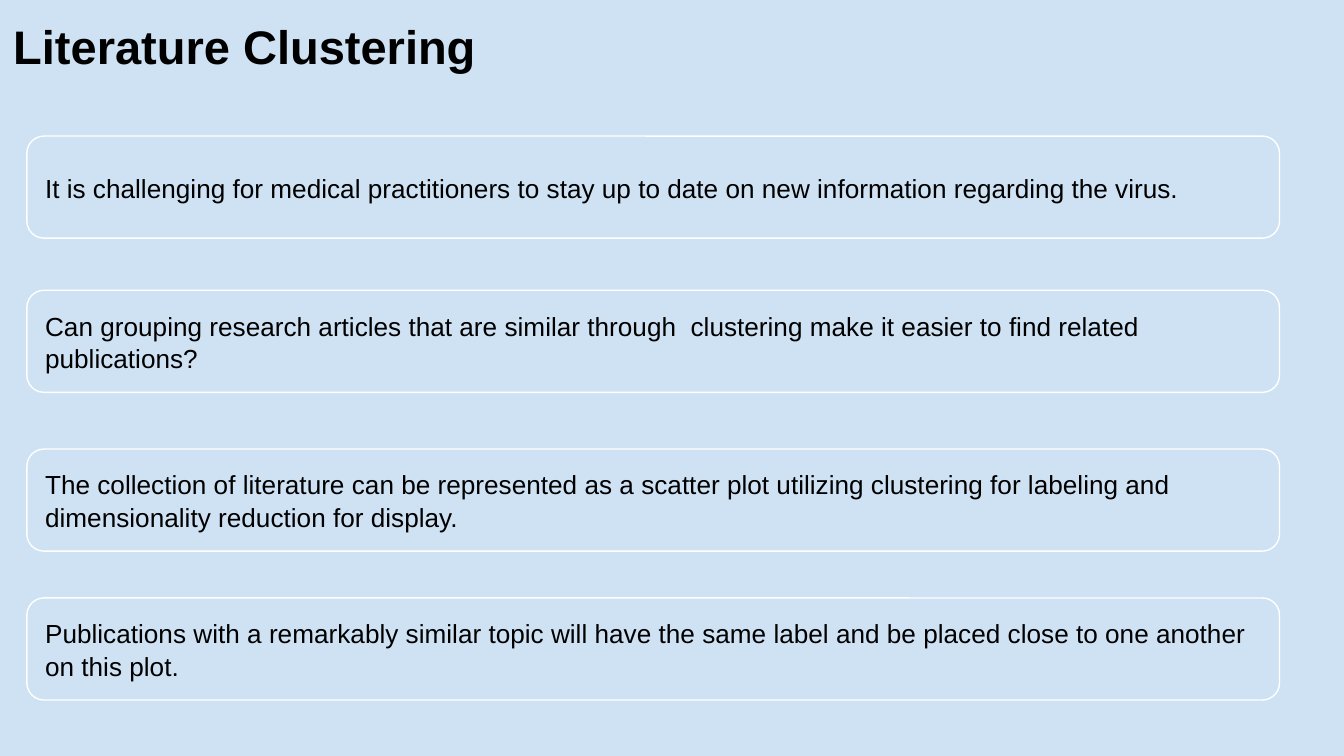
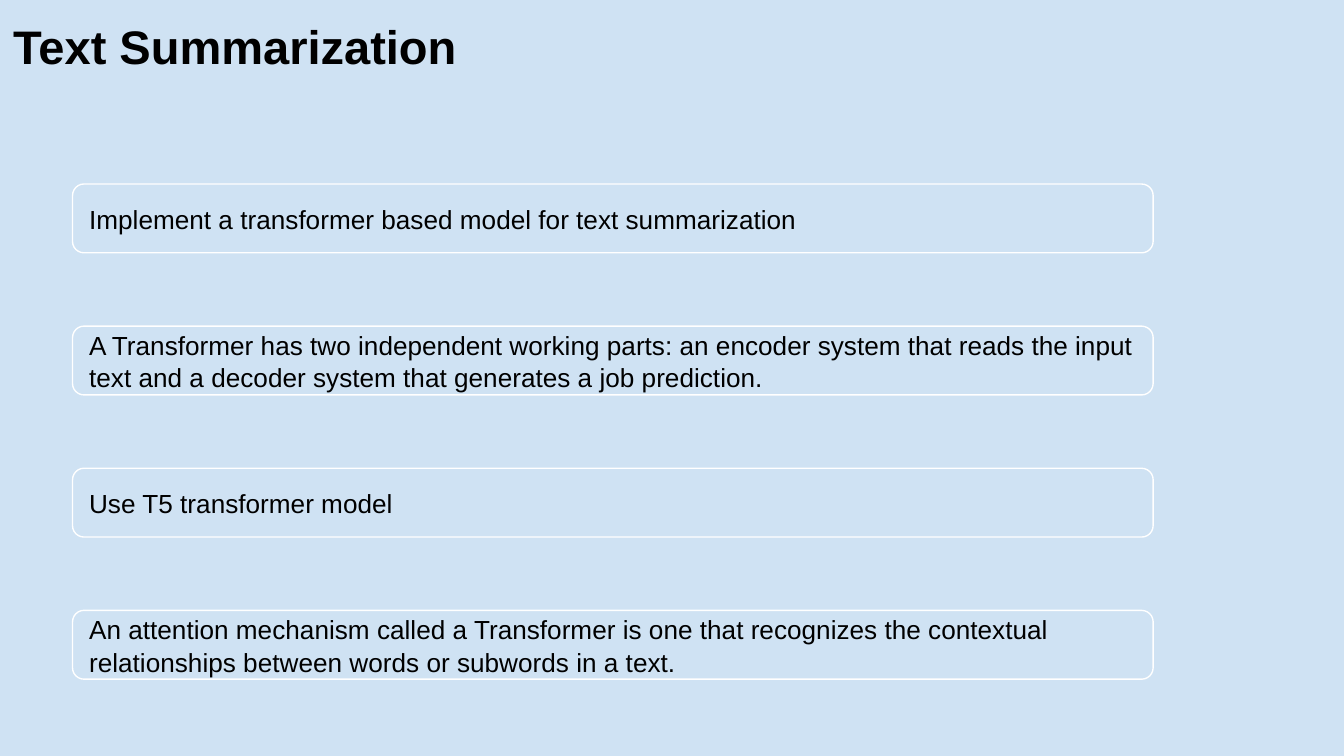
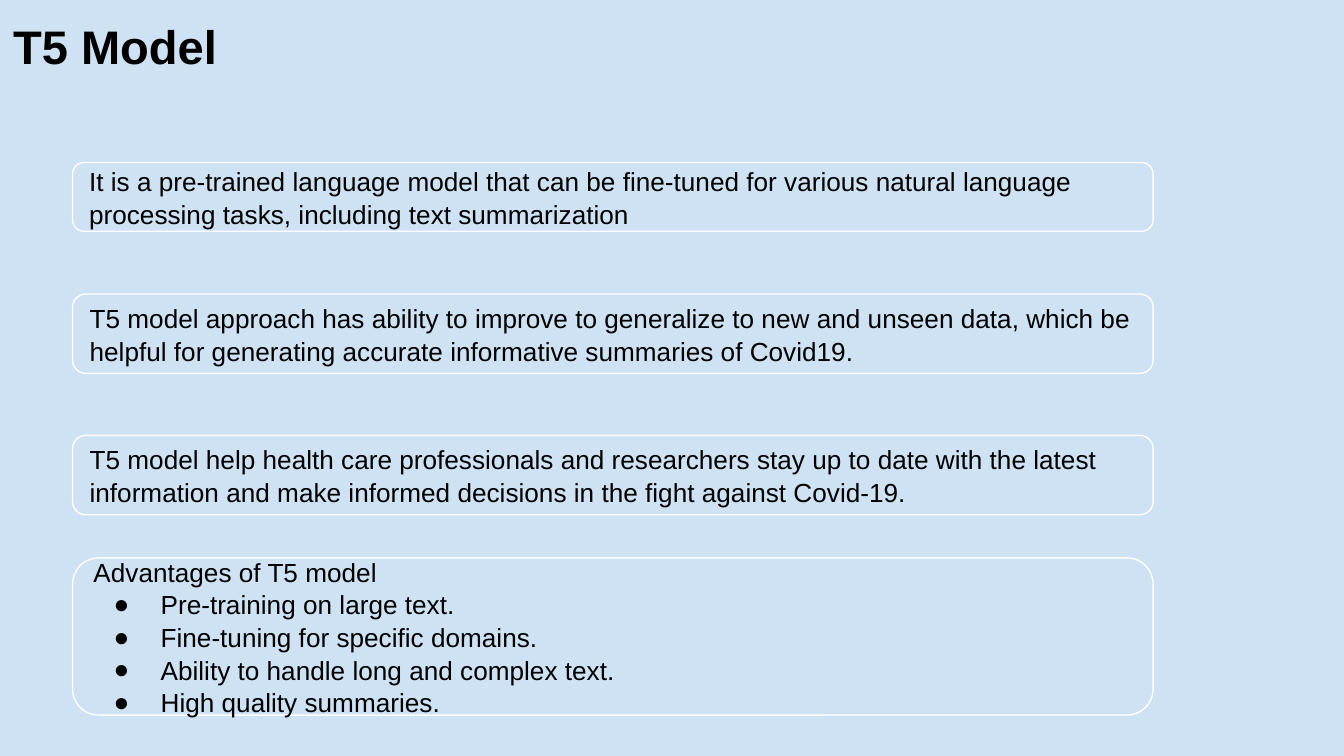
from pptx import Presentation
from pptx.dml.color import RGBColor
from pptx.enum.shapes import MSO_SHAPE as Shape
from pptx.enum.text import MSO_ANCHOR as Anchor, PP_ALIGN as Align
from pptx.oxml.ns import qn
from pptx.util import Inches, Pt
from lxml.etree import SubElement

# Shared look
SKY, WHITE, BLACK = "CFE2F3", "FFFFFF", "000000"
FONT = "Arial"
PAD = Inches(0.1)

deck = Presentation()
deck.slide_width, deck.slide_height = Inches(10), Inches(5.625)

# Grid of 100 columns by 100 rows
COL, ROW = deck.slide_width / 100, deck.slide_height / 100


def paint(part, tone):
    """Give a fill a solid colour from a hex string."""
    part.solid()
    part.fore_color.rgb = RGBColor.from_string(tone)


def write(frame, text, size=14, bold=False, anchor=Anchor.MIDDLE, top=PAD,
          space=1.04):
    """Fill a text frame; lines that start with ● become bullets."""
    frame.word_wrap = True
    frame.vertical_anchor = anchor
    frame.margin_left = frame.margin_right = frame.margin_bottom = PAD
    frame.margin_top = top
    for i, line in enumerate(text.split("\n")):
        para = frame.add_paragraph() if i else frame.paragraphs[0]
        para.alignment = Align.LEFT
        para.line_spacing = space
        run = para.add_run()
        run.text = line.lstrip("●")
        run.font.name, run.font.size, run.font.bold = FONT, Pt(size), bold
        paint(run.font.fill, BLACK)
        if line.startswith("●"):
            props = para._p.get_or_add_pPr()
            props.set("marL", str(Inches(0.5)))
            props.set("indent", str(-Inches(0.35)))
            tone = SubElement(props, qn("a:buClr"))
            SubElement(tone, qn("a:srgbClr"), val=BLACK)
            SubElement(props, qn("a:buFont"), typeface=FONT)
            SubElement(props, qn("a:buChar"), char="●")


# Pages: title, title rows, left and width in columns,
# then cards as (top row, rows, text)
STEP = 18.8
pages = [
    ("Literature Clustering", 11.2, 2, 93.2, [
        (18, 13.5, "It is challenging for medical practitioners to stay up to "
         "date on new information regarding the virus."),
        (38.4, 13.5, "Can grouping research articles that are similar through  "
         "clustering make it easier to find related publications?"),
        (59.4, 13.5, "The collection of literature can be represented as a "
         "scatter plot utilizing clustering for labeling and dimensionality "
         "reduction for display."),
        (79.1, 13.5, "Publications with a remarkably similar topic will have "
         "the same label and be placed close to one another on this plot."),
    ]),
    ("Text Summarization", 11.2, 5.4, 80.4, [
        (24.35 + i * STEP, 9.1, text) for i, text in enumerate([
            "Implement a transformer based model for text summarization",
            "A Transformer has two independent working parts: an encoder "
            "system that reads the input text and a decoder system that "
            "generates a job prediction.",
            "Use T5 transformer model",
            "An attention mechanism called a Transformer is one that "
            "recognizes the contextual relationships between words or "
            "subwords in a text.",
        ])
    ]),
    ("T5 Model", 10.5, 5.4, 80.4, [
        (21.5, 9.1, "It is a pre-trained language model that can be fine-tuned "
         "for various natural language processing tasks, including text "
         "summarization"),
        (38.9, 10.5, "T5 model approach has ability to improve to generalize "
         "to new and unseen data, which be helpful for generating accurate "
         "informative summaries of Covid19."),
        (57.6, 10.5, "T5 model help health care professionals and researchers "
         "stay up to date with the latest information and make informed "
         "decisions in the fight against Covid-19."),
        (73.8, 20.8, "Advantages of T5 model\n"
         "●Pre-training on large text.\n"
         "●Fine-tuning for specific domains.\n"
         "●Ability to handle long and complex text.\n"
         "●High quality summaries."),
    ]),
]

for title, tall, left, wide, cards in pages:
    # Background and title
    page = deck.slides.add_slide(deck.slide_layouts[6])
    paint(page.background.fill, SKY)
    head = page.shapes.add_textbox(0, 0, int(93.2 * COL), int(tall * ROW))
    write(head.text_frame, title, size=25.2, bold=True, anchor=Anchor.TOP,
          top=Inches(0.13), space=1)

    # Rounded cards
    for top, rows, text in cards:
        card = page.shapes.add_shape(
            Shape.ROUNDED_RECTANGLE, int(left * COL), int(top * ROW),
            int(wide * COL), int(rows * ROW))
        card.shadow.inherit = False
        paint(card.fill, SKY)
        paint(card.line.fill, WHITE)
        card.line.width = Pt(0.75)
        write(card.text_frame, text)

deck.save("out.pptx")
